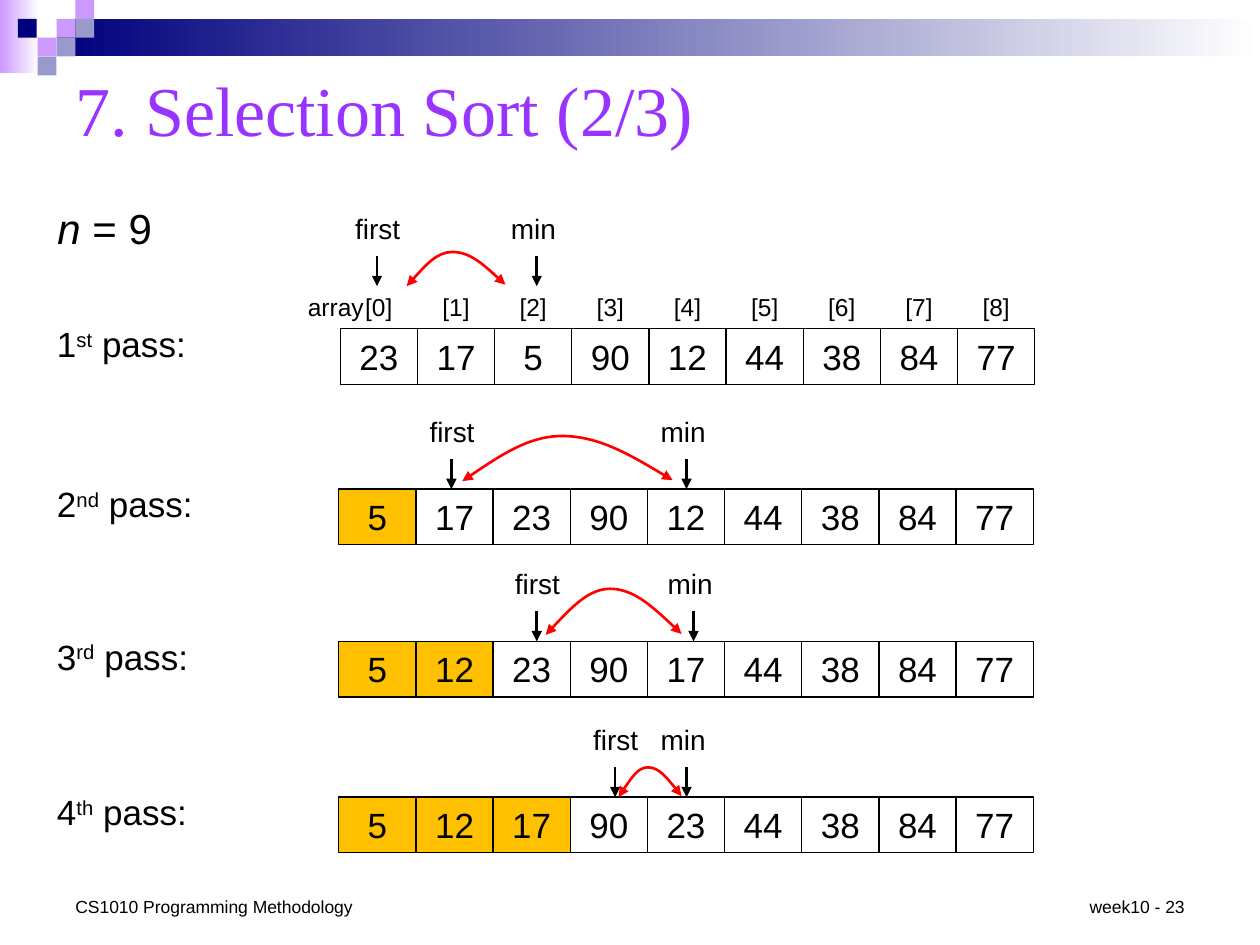
"""Build the selection sort slide, showing the first four passes."""
from dataclasses import dataclass

from lxml import etree
from pptx import Presentation
from pptx import util as u
from pptx.dml import color
from pptx.enum import shapes, text
from pptx.oxml import ns


@dataclass(frozen=True)
class Theme:
    """Colours, fonts and type sizes of the slide."""
    black: str = "000000"
    white: str = "FFFFFF"
    navy: str = "00007D"
    lilac: str = "CC99FF"
    slate: str = "9999CC"
    purple: str = "9933FF"
    red: str = "FF0000"
    sorted: str = "FFC000"
    body_font: str = "Arial"
    title_font: str = "Times New Roman"
    title: int = 40
    lead: int = 24
    body: int = 20
    marker: int = 16
    index: int = 14
    footer: int = 10


@dataclass(frozen=True)
class Pass:
    """Placement in cm of one pass and its pointers."""
    ordinal: str
    left: float
    top: float
    pointer_y: float
    first_x: float
    min_x: float
    swap: tuple


THEME = Theme()
VALUES = [23, 17, 5, 90, 12, 44, 38, 84, 77]
CELL_W, CELL_H = 14 / 9, 1.12
PASSES = [
    Pass("st", 6.86, 6.63, 5.77, 7.6, 10.82, ((8.2, 5.77), (9.12, 5.08), (10.19, 5.74))),
    Pass("nd", 6.83, 9.86, 9.86, 9.1, 13.84, ((9.32, 9.7), (11.33, 8.79), (13.56, 9.68))),
    Pass("rd", 6.83, 12.93, 12.93, 10.82, 13.98, ((11, 12.8), (12.3, 11.87), (13.74, 12.78))),
    Pass("th", 6.83, 16.07, 16.07, 12.4, 13.84, ((12.47, 16.07), (13.06, 15.47), (13.74, 16.05))),
]
TILE = 0.38
TILES = [
    (1.14, 0.38, THEME.lilac), (1.52, 0, THEME.lilac), (1.52, 0.38, THEME.slate),
    (0.76, 0.76, THEME.lilac), (0.36, 0.38, THEME.navy), (1.14, 0.76, THEME.slate),
    (0.76, 1.14, THEME.slate),
]


def rgb(code):
    """Return the colour for a hex code."""
    return color.RGBColor.from_string(code)


def write(tf, content, *, size, font=THEME.body_font, ink=THEME.black, align="LEFT",
          anchor="TOP", wrap=True, italic=(), superscript=()):
    """Write a string or a list of runs, with run numbers for italic and superscript."""
    tf.word_wrap = wrap
    tf.vertical_anchor = text.MSO_ANCHOR[anchor]
    p = tf.paragraphs[0]
    p.alignment = text.PP_ALIGN[align]
    for i, part in enumerate([content] if isinstance(content, str) else content):
        r = p.add_run()
        r.text = part
        r.font.name, r.font.size = font, u.Pt(size)
        r.font.color.rgb = rgb(ink)
        r.font.italic = i in italic
        if i in superscript:
            r.font._element.set("baseline", "30000")


def add_text(s, x, y, w, h, content, **fmt):
    """Add a text box."""
    sp = s.shapes.add_textbox(u.Cm(x), u.Cm(y), u.Cm(w), u.Cm(h))
    write(sp.text_frame, content, **fmt)


def add_rect(s, x, y, w, h, fill=None, fade=False, outline=False):
    """Add a rectangle that is plain, solid or fading to white."""
    sp = s.shapes.add_shape(shapes.MSO_SHAPE.RECTANGLE, u.Cm(x), u.Cm(y), u.Cm(w), u.Cm(h))
    sp.shadow.inherit = False
    if fade:
        sp.fill.gradient()
        sp.fill.gradient_angle = 0
        for stop, code in zip(sp.fill.gradient_stops, (fill, THEME.white)):
            stop.color.rgb = rgb(code)
    elif fill:
        sp.fill.solid()
        sp.fill.fore_color.rgb = rgb(fill)
    else:
        sp.fill.background()
    if outline:
        sp.line.color.rgb = rgb(THEME.black)
        sp.line.width = u.Pt(0.75)
    else:
        sp.line.fill.background()
    return sp


def style_arrow(sp, ink, ends):
    """Give a line its colour, width and arrowheads."""
    sp.line.color.rgb = rgb(ink)
    sp.line.width = u.Pt(1.5)
    for end in ends:
        etree.SubElement(sp.line._get_or_add_ln(), ns.qn(f"a:{end}"), type="triangle")


def add_pointer(s, x, y, label, offset, **fmt):
    """Add a labelled arrow that points down to a cell."""
    sp = s.shapes.add_connector(shapes.MSO_CONNECTOR.STRAIGHT,
                                u.Cm(x), u.Cm(y - 0.61), u.Cm(x), u.Cm(y))
    style_arrow(sp, THEME.black, ["tailEnd"])
    etree.SubElement(sp._element.spPr, ns.qn("a:effectLst"))
    add_text(s, x - offset, y - 1.63, 1.57, 0.94, label, size=THEME.marker, **fmt)


def bend(segment, start, end, rising):
    """Turn a straight path segment into a cubic curve that is level at the apex."""
    (x0, y0), (x1, y1) = start, end
    middle = (y0 + y1) // 2
    heights = (middle, y1) if rising else (y0, middle)
    segment.tag = ns.qn("a:cubicBezTo")
    for i, y in enumerate(heights):
        x = x0 + (x1 - x0) * (i + 1) // 3
        segment.insert(i, etree.Element(ns.qn("a:pt"), x=str(x), y=str(y)))


def add_swap(s, points):
    """Add a curved double arrow through start, apex and end."""
    start, *rest = [(u.Cm(x), u.Cm(y)) for x, y in points]
    builder = s.shapes.build_freeform(*start)
    builder.add_line_segments(rest, close=False)
    sp = builder.convert_to_shape()
    sp.shadow.inherit = False
    sp.fill.background()
    style_arrow(sp, THEME.red, ["headEnd", "tailEnd"])
    spots = [(int(pt.get("x")), int(pt.get("y"))) for pt in sp._element.iter(ns.qn("a:pt"))]
    for i, segment in enumerate(list(sp._element.iter(ns.qn("a:lnTo")))):
        bend(segment, spots[i], spots[i + 1], rising=i == 0)


def add_pass(s, number, step, values):
    """Add one pass with its label, cells, pointers and swap arrow."""
    for i, value in enumerate(values):
        sp = add_rect(s, step.left + i * CELL_W, step.top, CELL_W, CELL_H,
                      fill=THEME.sorted if i < number else None, outline=True)
        write(sp.text_frame, str(value), size=THEME.body, align="CENTER")
    add_text(s, 0.9, step.top - 0.25, 3.53, CELL_H, [str(number + 1), step.ordinal, " pass:"],
             size=THEME.body, superscript=[1])
    add_pointer(s, step.first_x, step.pointer_y, "first", 0.69)
    add_pointer(s, step.min_x, step.pointer_y, "min", 0.77)
    add_swap(s, step.swap)


def add_indexes(s, step):
    """Add the array name and the index above each cell."""
    add_text(s, 5.82, step.pointer_y, 1.9, 0.86, "array", size=THEME.index, align="CENTER")
    for i in range(len(VALUES)):
        add_text(s, step.left + i * CELL_W, step.pointer_y, CELL_W, 0.86, f"[{i}]",
                 size=THEME.index, align="CENTER")


def add_frame(s):
    """Add the banner, title and footers."""
    add_rect(s, 0, 0, 0.79, 1.47, THEME.lilac, fade=True)
    add_rect(s, 1.14, 0.38, 24.26, 0.76, THEME.navy, fade=True)
    for x, y, fill in TILES:
        add_rect(s, x, y, TILE, TILE, fill)
    add_text(s, 1.27, 1.07, 22.86, 2.24, "7. Selection Sort (2/3)", size=THEME.title,
             font=THEME.title_font, ink=THEME.purple, anchor="MIDDLE")
    add_text(s, 1.27, 17.93, 6.15, 0.69, "CS1010 Programming Methodology",
             size=THEME.footer, anchor="BOTTOM")
    add_text(s, 21.13, 17.93, 3, 0.69, "week10 - 23",
             size=THEME.footer, anchor="BOTTOM", align="RIGHT")


def main():
    """Build and save the slide."""
    prs = Presentation()
    prs.slide_width, prs.slide_height = u.Cm(25.4), u.Cm(19.05)
    s = prs.slides.add_slide(prs.slide_layouts[6])
    add_frame(s)
    add_text(s, 0.91, 3.96, 3.53, 1.27, ["n", " = 9"], size=THEME.lead, italic=[0])
    add_indexes(s, PASSES[0])
    values = list(VALUES)
    for i, step in enumerate(PASSES):
        add_pass(s, i, step, values)
        smallest = values.index(min(values[i:]))
        values[i], values[smallest] = values[smallest], values[i]
    prs.save("out.pptx")


if __name__ == "__main__":
    main()
